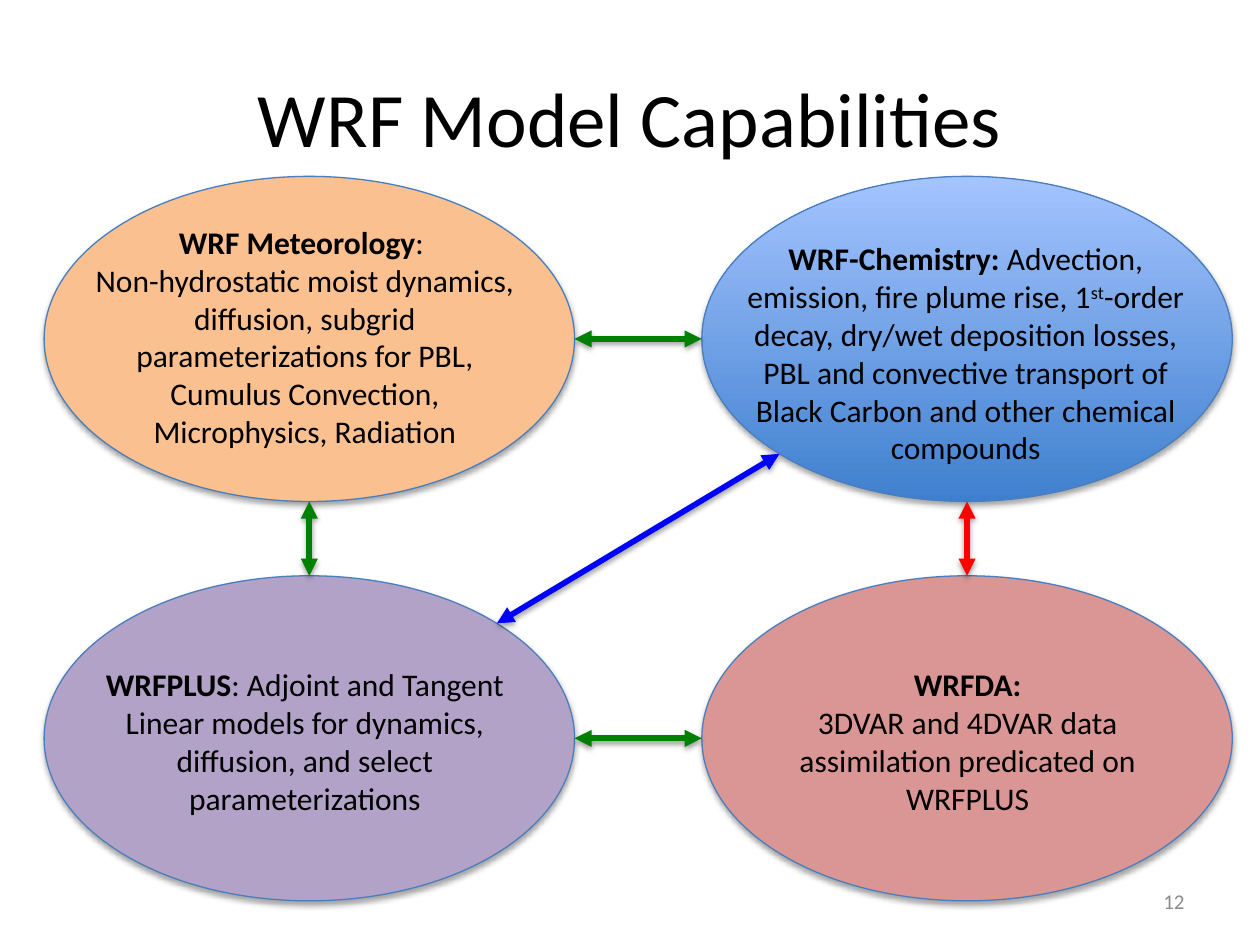
import math

from lxml import etree
from pptx import Presentation
from pptx.dml.color import RGBColor
from pptx.enum.shapes import MSO_CONNECTOR, MSO_SHAPE
from pptx.enum.text import MSO_ANCHOR, PP_ALIGN
from pptx.oxml.ns import qn
from pptx.util import Inches, Pt

STRAIGHT = MSO_CONNECTOR.STRAIGHT
OVAL = MSO_SHAPE.OVAL
CENTER, RIGHT = PP_ALIGN.CENTER, PP_ALIGN.RIGHT
TOP, MIDDLE = MSO_ANCHOR.TOP, MSO_ANCHOR.MIDDLE

THEME = {
    "font": "Calibri",
    "title_size": 44, "body_size": 18, "number_size": 12,
    "text": "000000", "number": "8C8C8C", "outline": "4B7EBC",
    "orange": "FAC090", "purple": "B3A2C7", "rose": "D99694",
    "blue_gradient": ("3F80CE", "A4C4FF"),
    "green": "008000", "blue": "0000FF", "red": "FF0000",
    "outline_width": 0.75, "arrow_width": 3.25,
}

TITLE = "WRF Model Capabilities"
SLIDE_NUMBER = "12"

# Each paragraph is a list of (text, style) runs.
MODULES = {
    "meteorology": {
        "cell": (0, 0), "fill": "orange", "text_box": (0.59, 1.72, 3.66, 1.92),
        "text": [
            [("WRF Meteorology", "bold"), (": ", "")],
            [("Non-hydrostatic moist dynamics, diffusion, subgrid parameterizations "
              "for PBL, Cumulus Convection, Microphysics, Radiation", "")],
        ],
    },
    "chemistry": {
        "cell": (1, 0), "fill": "blue_gradient", "text_box": (5.7, 1.85, 3.93, 1.92),
        "text": [
            [("WRF-Chemistry: ", "bold"), ("Advection, emission, fire plume rise, 1", ""),
             ("st", "superscript"),
             ("-order decay, dry/wet deposition losses, PBL and convective transport "
              "of Black Carbon and other chemical compounds", "")],
        ],
    },
    "adjoint": {
        "cell": (0, 1), "fill": "purple", "text_box": (0.59, 5.23, 3.66, 1.31),
        "text": [
            [("WRFPLUS", "bold"),
             (": Adjoint and Tangent Linear models for dynamics, diffusion, "
              "and select parameterizations", "")],
        ],
    },
    "assimilation": {
        "cell": (1, 1), "fill": "rose", "text_box": (5.85, 5.23, 3.66, 1.31),
        "text": [
            [("WRFDA:", "bold")],
            [("3DVAR and 4DVAR data assimilation predicated on WRFPLUS", "")],
        ],
    },
}

ARROWS = [
    ("meteorology", "right", "chemistry", "left", "green"),
    ("meteorology", "bottom", "adjoint", "top", "green"),
    ("adjoint", "right", "assimilation", "left", "green"),
    ("adjoint", "top right", "chemistry", "bottom left", "blue"),
    ("chemistry", "bottom", "assimilation", "top", "red"),
]

GRID_LEFT, GRID_TOP = 0.35, 1.4
OVAL_WIDTH, OVAL_HEIGHT = 4.21, 2.58
COLUMN_STEP, ROW_STEP = 5.22, 3.17

# Connection sites run counter-clockwise around an oval, from the top.
SITES = ["top", "top left", "left", "bottom left",
         "bottom", "bottom right", "right", "top right"]


def color(name):
    return RGBColor.from_string(THEME[name])


def write_text(shape, paragraphs, size="body_size", text_color="text",
               align=CENTER, anchor=TOP):
    frame = shape.text_frame
    frame.word_wrap = True
    frame.vertical_anchor = anchor
    for index, runs in enumerate(paragraphs):
        paragraph = frame.add_paragraph() if index else frame.paragraphs[0]
        paragraph.alignment = align
        for text, style in runs:
            run = paragraph.add_run()
            run.text = text
            run.font.name = THEME["font"]
            run.font.size = Pt(THEME[size])
            run.font.bold = style == "bold"
            run.font.color.rgb = color(text_color)
            if style == "superscript":
                run.font._element.set("baseline", "30000")


def add_shadow(shape, distance, opacity):
    """Give a shape a soft shadow below it; call after its line is set."""
    effects = etree.SubElement(shape._element.spPr, qn("a:effectLst"))
    shadow = etree.SubElement(effects, qn("a:outerShdw"), blurRad=str(Pt(3.15)),
                              dist=str(Pt(distance)), dir="5400000", rotWithShape="0")
    black = etree.SubElement(shadow, qn("a:srgbClr"), val="000000")
    etree.SubElement(black, qn("a:alpha"), val=str(opacity * 1000))


def fill_shape(shape, fill_name):
    value = THEME[fill_name]
    if isinstance(value, str):
        shape.fill.solid()
        shape.fill.fore_color.rgb = color(fill_name)
        return
    shape.fill.gradient()
    shape.fill.gradient_angle = 90
    for stop, stop_color in zip(shape.fill.gradient_stops, value):
        stop.color.rgb = RGBColor.from_string(stop_color)


def add_module(slide, module):
    """Group an oval with its text and return the oval."""
    column, row = module["cell"]
    group = slide.shapes.add_group_shape()
    oval = group.shapes.add_shape(
        OVAL, Inches(GRID_LEFT + column * COLUMN_STEP), Inches(GRID_TOP + row * ROW_STEP),
        Inches(OVAL_WIDTH), Inches(OVAL_HEIGHT))
    fill_shape(oval, module["fill"])
    oval.line.color.rgb = color("outline")
    oval.line.width = Pt(THEME["outline_width"])
    add_shadow(oval, distance=1.8, opacity=35)
    text_box = group.shapes.add_textbox(*map(Inches, module["text_box"]))
    write_text(text_box, module["text"])
    return oval


def site_point(oval, site):
    angle = math.radians(90 + 45 * SITES.index(site))
    return (round(oval.left + oval.width / 2 * (1 + math.cos(angle))),
            round(oval.top + oval.height / 2 * (1 - math.sin(angle))))


def add_arrow(slide, start, start_site, end, end_site, color_name):
    arrow = slide.shapes.add_connector(
        STRAIGHT, *site_point(start, start_site), *site_point(end, end_site))
    arrow.line.color.rgb = color(color_name)
    arrow.line.width = Pt(THEME["arrow_width"])
    line = arrow.line._ln
    for tag in ("a:headEnd", "a:tailEnd"):
        etree.SubElement(line, qn(tag), type="triangle")
    add_shadow(arrow, distance=1.6, opacity=38)
    joints = arrow._element.nvCxnSpPr.cNvCxnSpPr
    for tag, oval, site in (("a:stCxn", start, start_site), ("a:endCxn", end, end_site)):
        etree.SubElement(joints, qn(tag), id=str(oval.shape_id), idx=str(SITES.index(site)))


def main():
    presentation = Presentation()
    presentation.slide_width, presentation.slide_height = Inches(10), Inches(7.5)
    slide = presentation.slides.add_slide(presentation.slide_layouts[5])

    title = slide.shapes.title
    title.left, title.top = Inches(0.5), Inches(0.3)
    title.width, title.height = Inches(9), Inches(1.25)
    write_text(title, [[(TITLE, "")]], size="title_size", anchor=MIDDLE)

    ovals = {name: add_module(slide, module) for name, module in MODULES.items()}
    for start, start_site, end, end_site, color_name in ARROWS:
        add_arrow(slide, ovals[start], start_site, ovals[end], end_site, color_name)

    number = slide.shapes.add_textbox(Inches(7.17), Inches(6.95), Inches(2.33), Inches(0.4))
    write_text(number, [[(SLIDE_NUMBER, "")]], size="number_size", text_color="number",
               align=RIGHT, anchor=MIDDLE)
    presentation.save("out.pptx")


if __name__ == "__main__":
    main()
